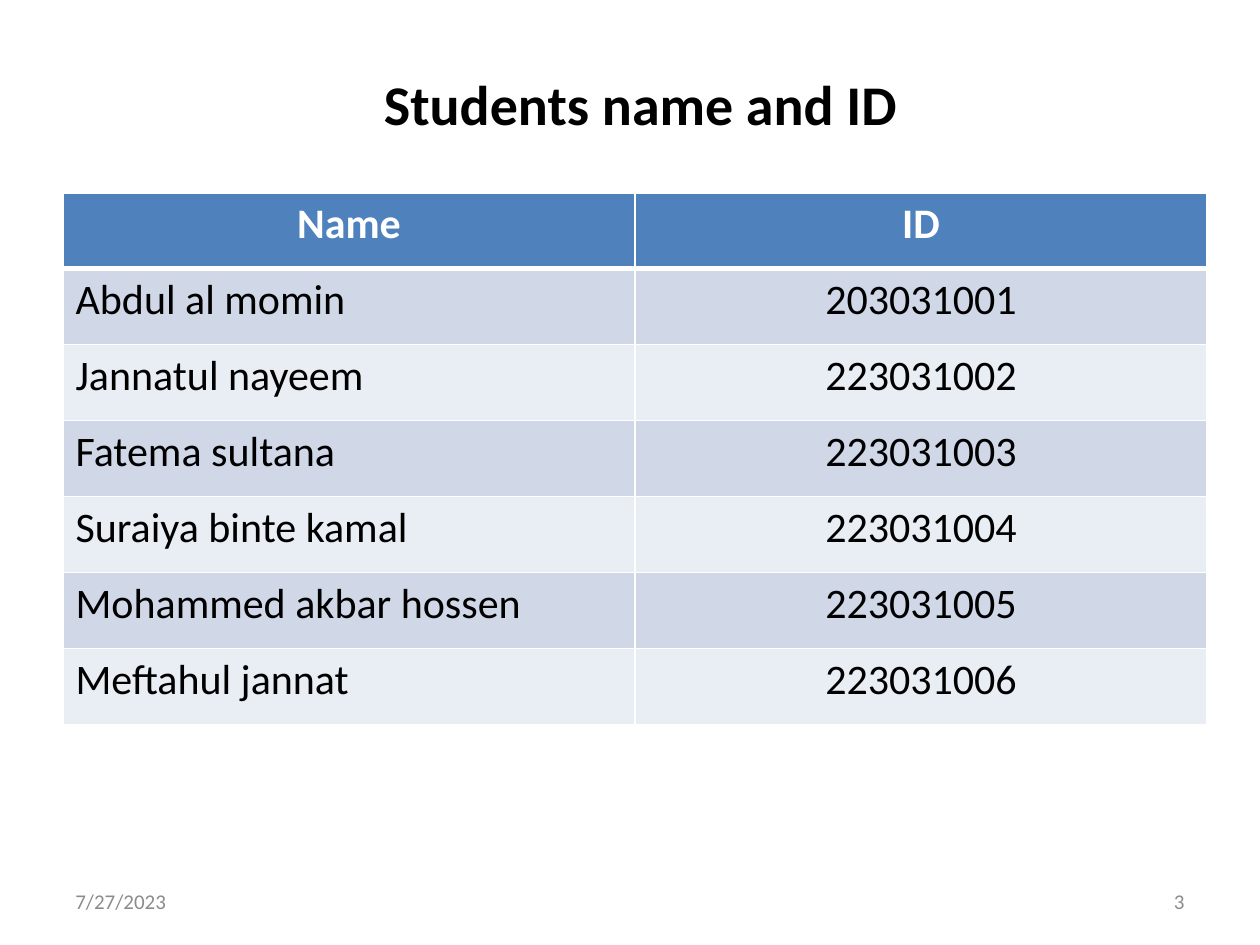
"""Build a slide with a table of student names and IDs."""
from lxml.etree import SubElement
from pptx import Presentation
from pptx.dml.color import RGBColor
from pptx.enum.text import MSO_ANCHOR, PP_ALIGN
from pptx.oxml.ns import qn
from pptx.util import Inches, Pt

WHITE = RGBColor(0xFF, 0xFF, 0xFF)
BLACK = RGBColor(0x00, 0x00, 0x00)
GREY = RGBColor(0x8C, 0x8C, 0x8C)
HEADER = RGBColor(0x4F, 0x81, 0xBD)
BANDS = (RGBColor(0xE9, 0xED, 0xF4), RGBColor(0xD0, 0xD8, 0xE8))

WIDTH, HEIGHT = Inches(10), Inches(7.5)
MARGIN = 0.05
FOOTER_TOP, FOOTER_W, FOOTER_H = 0.927, 0.233, 0.053
COL_W, ROW_H = Inches(4.54), Inches(4.22 / 7)

STUDENTS = [
    ("Name", "ID"),
    ("Abdul al momin", "203031001"),
    ("Jannatul nayeem", "223031002"),
    ("Fatema sultana", "223031003"),
    ("Suraiya binte kamal", "223031004"),
    ("Mohammed akbar hossen", "223031005"),
    ("Meftahul jannat", "223031006"),
]


def write(tf, text, size=24, color=BLACK, bold=False, align=PP_ALIGN.LEFT):
    p = tf.paragraphs[0]
    p.alignment = align
    r = p.add_run()
    r.text = text
    r.font.name = "Calibri"
    r.font.size = Pt(size)
    r.font.bold = bold
    r.font.color.rgb = color


def add_text(s, text, x, y, w, h, anchor=MSO_ANCHOR.TOP, **fmt):
    box = s.shapes.add_textbox(
        int(x * WIDTH), int(y * HEIGHT), int(w * WIDTH), int(h * HEIGHT))
    tf = box.text_frame
    tf.word_wrap = True
    tf.vertical_anchor = anchor
    write(tf, text, **fmt)


def set_borders(cell, **widths):
    tc_pr = cell._tc.get_or_add_tcPr()
    for i, (side, width) in enumerate(widths.items()):
        ln = tc_pr.makeelement(qn(f"a:ln{side}"), {"w": str(Pt(width))})
        fill = SubElement(ln, qn("a:solidFill"))
        SubElement(fill, qn("a:srgbClr"), val=str(WHITE))
        tc_pr.insert(i, ln)


def add_student_table(s):
    rows, cols = len(STUDENTS), len(STUDENTS[0])
    table = s.shapes.add_table(rows, cols, int(MARGIN * WIDTH), Inches(1.53),
                               cols * COL_W, rows * ROW_H).table
    for i, student in enumerate(STUDENTS):
        head = i == 0
        for j, text in enumerate(student):
            cell = table.cell(i, j)
            cell.fill.solid()
            cell.fill.fore_color.rgb = HEADER if head else BANDS[i % 2]
            set_borders(cell, L=1, R=1, T=3 if i == 1 else 1, B=3 if head else 1)
            write(cell.text_frame, text, bold=head,
                  color=WHITE if head else BLACK,
                  align=PP_ALIGN.CENTER if head or j else PP_ALIGN.LEFT)


def add_footer(s, text, x, align):
    add_text(s, text, x, FOOTER_TOP, FOOTER_W, FOOTER_H, MSO_ANCHOR.MIDDLE,
             size=12, color=GREY, align=align)


def main():
    prs = Presentation()
    prs.slide_width, prs.slide_height = WIDTH, HEIGHT
    s = prs.slides.add_slide(prs.slide_layouts[6])
    add_student_table(s)
    add_text(s, "Students name and ID", 0.167, 0.067, 0.683, 0.085,
             size=32, bold=True, align=PP_ALIGN.CENTER)
    add_footer(s, "7/27/2023", MARGIN, PP_ALIGN.LEFT)
    add_footer(s, "3", 1 - MARGIN - FOOTER_W, PP_ALIGN.RIGHT)
    prs.save("out.pptx")


if __name__ == "__main__":
    main()
